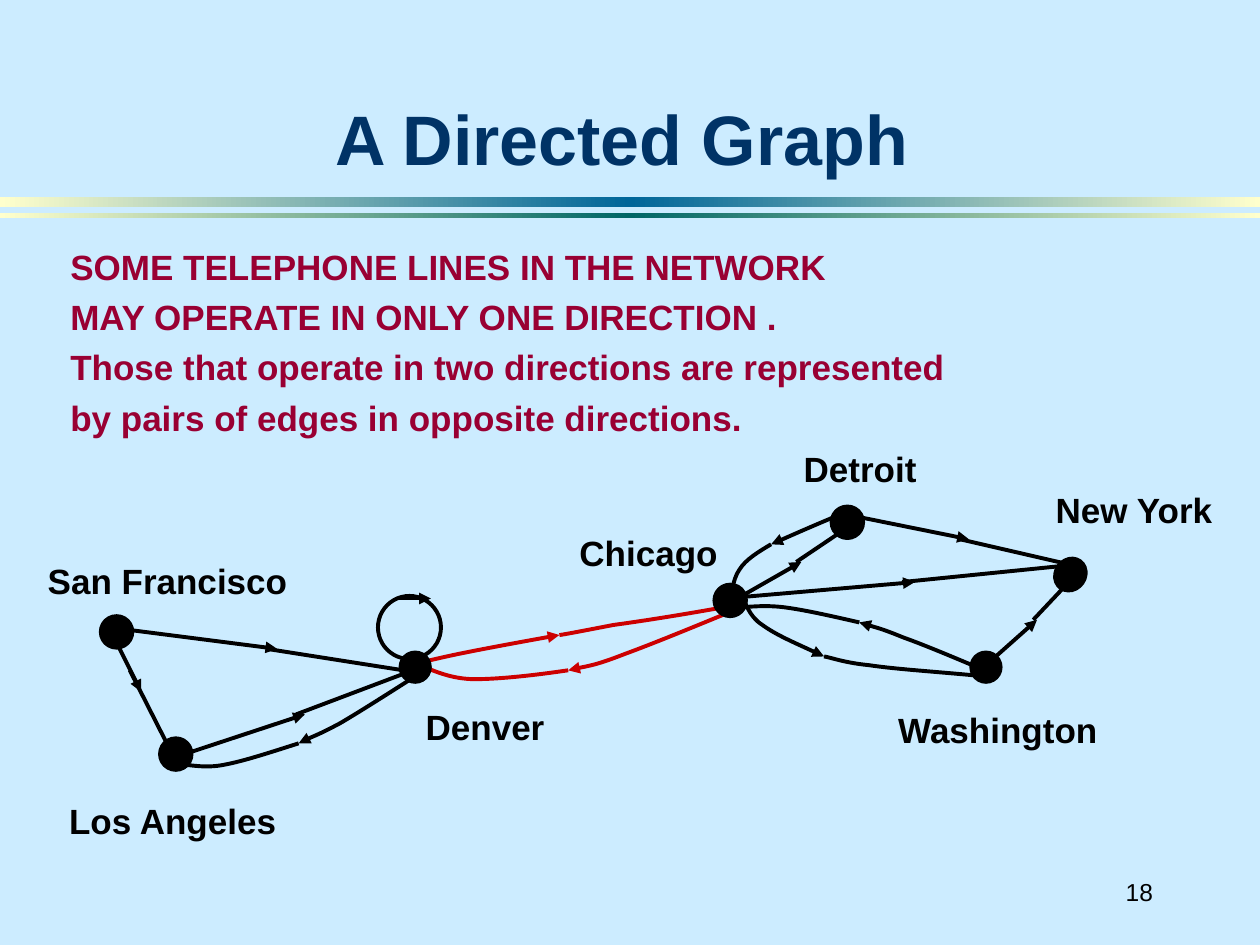
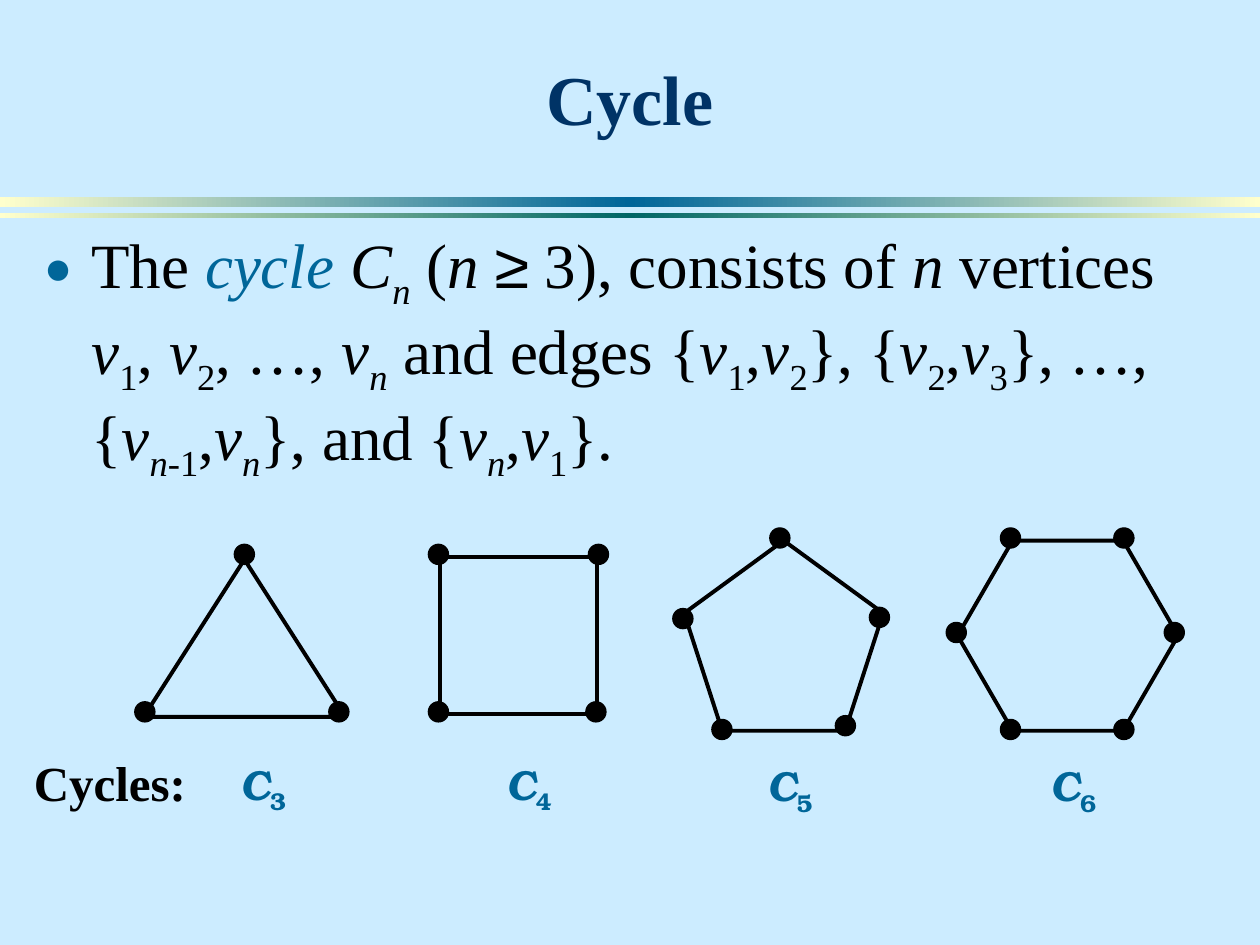
"""Builds two slides on graphs: a directed telephone network and the cycles C3 to C6."""
from copy import deepcopy

from pptx import Presentation, util as u
from pptx.dml.color import RGBColor
from pptx.enum import shapes as kinds, text as layout
from pptx.oxml import parse_xml
from pptx.oxml.ns import nsdecls, qn

SKY, NAVY, TEAL, CREAM = "CCECFF", "003366", "006699", "FFFFCC"
BLACK, RED, WINE = "000000", "CC0000", "990033"
SANS, SERIF, MATH = "Arial", "Times New Roman", "TeX Gyre Bonum"
GRID = 2.54
BANDS = [((0, 1.56, 10, 0.08), TEAL), ((0, 1.69, 10, 0.04), "006666")]

NETWORK_TITLE = "A Directed Graph"
NETWORK_NOTE = [
    "SOME TELEPHONE LINES IN THE NETWORK",
    "MAY OPERATE IN ONLY ONE DIRECTION .",
    "Those that operate in two directions are represented",
    "by pairs of edges in opposite directions.",
]
CITIES = [
    ("San Francisco", (0.28, 4.39, 2.12, 0.44), (0.8, 4.89, 0.25, 0.25), 2.25),
    ("Los Angeles", (0.45, 6.3, 1.87, 0.44), (1.27, 5.86, 0.25, 0.25), 2.25),
    ("Denver", (3.28, 5.55, 1.16, 0.44), (3.17, 5.17, 0.25, 0.25), 1),
    ("Chicago", (4.5, 4.17, 1.32, 0.44), (5.67, 4.64, 0.25, 0.25), 2.25),
    ("Detroit", (6.28, 3.5, 1.11, 0.44), (6.6, 4.02, 0.25, 0.25), 2.25),
    ("New York", (8.28, 3.83, 1.49, 0.44), (8.37, 4.42, 0.25, 0.28), 1),
    ("Washington", (7.03, 5.57, 1.81, 0.44), (7.7, 5.17, 0.25, 0.25), 1),
]
NEW_YORK_TILT = 35.2
DENVER_LOOP = (3, 4.73, 0.5, 0.5)
LOOP_ARROW = [(3.17, 4.75), (3.42, 4.75)]
STRAIGHT_EDGES = [
    ([(1.03, 5), (2.2, 5.15)], [(2.12, 5.15), (3.2, 5.32)]),
    ([(7.87, 5.24), (8.23, 4.92)], [(8.2, 4.92), (8.53, 4.57)]),
    ([(5.87, 4.74), (7.26, 4.62)], [(7.16, 4.62), (8.45, 4.49)]),
    ([(1.45, 5.99), (2.42, 5.67)], [(2.35, 5.67), (3.25, 5.33)]),
    ([(0.87, 4.99), (1.12, 5.49)], [(1.03, 5.32), (1.37, 5.99)]),
    ([(5.87, 4.74), (6.36, 4.46)], [(6.32, 4.46), (6.78, 4.15)]),
    ([(6.7, 4.08), (7.69, 4.28)], [(7.62, 4.28), (8.53, 4.49)]),
]
CURVED_EDGES = [
    (BLACK,
     [(3.37, 5.32), (3.12, 5.48), (2.87, 5.64), (2.7, 5.74), (2.53, 5.83), (2.42, 5.87), (2.37, 5.9)],
     [(2.37, 5.9), (2.15, 5.97), (1.94, 6.04), (1.78, 6.07), (1.63, 6.1), (1.51, 6.07), (1.45, 6.07)]),
    (RED,
     [(5.86, 4.83), (5.52, 4.97), (5.18, 5.11), (4.96, 5.19), (4.73, 5.28), (4.59, 5.3), (4.51, 5.32)],
     [(4.51, 5.32), (4.24, 5.36), (3.96, 5.39), (3.77, 5.39), (3.58, 5.39), (3.44, 5.32), (3.38, 5.3)]),
    (BLACK,
     [(7.86, 5.34), (7.6, 5.23), (7.34, 5.12), (7.17, 5.06), (7, 4.99), (6.88, 4.96), (6.82, 4.94)],
     [(6.82, 4.94), (6.6, 4.89), (6.38, 4.84), (6.22, 4.82), (6.06, 4.8), (5.93, 4.82), (5.87, 4.82)]),
    (BLACK,
     [(5.89, 4.74), (5.92, 4.78), (5.94, 4.89), (6.05, 4.96), (6.16, 5.04), (6.35, 5.12), (6.54, 5.21)],
     [(6.54, 5.21), (6.6, 5.22), (6.7, 5.26), (6.9, 5.28), (7.1, 5.31), (7.41, 5.33), (7.73, 5.36)]),
    (BLACK,
     [(6.7, 4.07), (6.46, 4.17), (6.21, 4.28), (6.12, 4.32)],
     [(6.12, 4.32), (6.02, 4.38), (5.92, 4.44), (5.87, 4.52), (5.81, 4.6), (5.8, 4.77), (5.78, 4.82)]),
    (RED,
     [(3.26, 5.28), (3.33, 5.26), (3.49, 5.22), (3.69, 5.18), (3.89, 5.14), (4.16, 5.09), (4.44, 5.04)],
     [(4.44, 5.04), (4.51, 5.03), (4.66, 5), (4.87, 4.96), (5.09, 4.93), (5.41, 4.88), (5.74, 4.82)]),
]

CYCLE_TITLE = "Cycle"
V1, V2, V3, VN = ([("v", "i"), (index, style)]
                  for index, style in [("1", "s"), ("2", "s"), ("3", "s"), ("n", "is")])
CYCLE_DEFINITION = [
    ("The ", ""), ("cycle ", "ic"), ("C", "i"), ("n", "is"), (" (", ""), ("n ", "i"), ("≥", "a"),
    (" 3), consists of ", ""), ("n", "i"), (" vertices ", ""),
    *V1, (", ", ""), *V2, (", …, ", ""), *VN, (" and edges {", ""),
    *V1, (",", ""), *V2, ("}, {", ""), *V2, (",", ""), *V3, ("}, …, {", ""),
    *VN, ("-1", "s"), (",", ""), *VN, ("}, and {", ""), *VN, (",", ""), *V1, ("}.", ""),
]
CYCLES_LABEL = "Cycles:"
DOT = 0.16
CYCLES = [
    ("3", (1.81, 5.97), "ISOSCELES_TRIANGLE", (1.14, 4.44, 1.6, 1.25),
     [(1.94, 4.4), (1.15, 5.65), (2.69, 5.65)]),
    ("4", (3.92, 5.97), "RECTANGLE", (3.49, 4.42, 1.25, 1.25),
     [(3.48, 4.4), (4.75, 4.4), (3.48, 5.65), (4.73, 5.65)]),
    ("5", (5.99, 5.98), "REGULAR_PENTAGON", (5.43, 4.29, 1.58, 1.51),
     [(6.19, 4.27), (6.98, 4.9), (6.71, 5.76), (5.73, 5.79), (5.42, 4.91)]),
    ("6", (8.24, 5.98), "HEXAGON", (7.6, 4.29, 1.75, 1.51),
     [(8.02, 4.27), (8.92, 4.27), (9.32, 5.02), (8.92, 5.79), (8.02, 5.79), (7.59, 5.02)]),
]


def place(*values):
    return [u.Cm(value * GRID) for value in values]


def rgb(value):
    return RGBColor.from_string(value)


def write(slide, box, paragraphs, size=20, font=SANS, color=BLACK, bold=False, align="LEFT",
          anchor="TOP", wrap=False, spacing=None, bullet=None):
    frame = slide.shapes.add_textbox(*place(*box)).text_frame
    frame.word_wrap = wrap
    frame.vertical_anchor = layout.MSO_ANCHOR[anchor]
    for number, content in enumerate(paragraphs):
        paragraph = frame.paragraphs[0] if number == 0 else frame.add_paragraph()
        paragraph.alignment = layout.PP_ALIGN[align]
        if spacing:
            paragraph.line_spacing = spacing
        if bullet:
            add_bullet(paragraph, bullet)
        for wording, style in [(content, "")] if isinstance(content, str) else content:
            run = paragraph.add_run()
            run.text = wording
            run.font.size = u.Pt(size)
            run.font.name = SANS if "a" in style else font
            run.font.bold = bold
            run.font.italic = "i" in style
            run.font.color.rgb = rgb(TEAL if "c" in style else color)
            if "s" in style:
                run.font._element.set("baseline", "-25000")


def add_bullet(paragraph, symbol):
    properties = paragraph._p.get_or_add_pPr()
    indent = u.Cm(0.96)
    properties.set("marL", str(indent))
    properties.set("indent", str(-indent))
    for tag in (f'<a:buClr {nsdecls("a")}><a:srgbClr val="{TEAL}"/></a:buClr>',
                f'<a:buSzPct {nsdecls("a")} val="75000"/>',
                f'<a:buFont {nsdecls("a")} typeface="{SANS}"/>',
                f'<a:buChar {nsdecls("a")} char="{symbol}"/>'):
        properties.append(parse_xml(tag))


def outline(shape, color=BLACK, width=2.25, arrow=False):
    shape.line.color.rgb = rgb(color)
    shape.line.width = u.Pt(width)
    if arrow:
        line = shape._element.spPr.find(qn("a:ln"))
        line.append(parse_xml(f'<a:tailEnd {nsdecls("a")} type="triangle"/>'))


def draw(slide, kind, box, fill=None, width=2.25):
    shape = slide.shapes.add_shape(kinds.MSO_SHAPE[kind], *place(*box))
    shape.shadow.inherit = False
    if fill:
        shape.fill.solid()
        shape.fill.fore_color.rgb = rgb(fill)
    else:
        shape.fill.background()
    outline(shape, width=width)
    return shape


def draw_line(slide, points, arrow):
    start, end = points
    line = slide.shapes.add_connector(kinds.MSO_CONNECTOR.STRAIGHT, *place(*start, *end))
    outline(line, arrow=arrow)
    line._element.spPr.append(parse_xml(f'<a:effectLst {nsdecls("a")}/>'))


def draw_curve(slide, points, color, arrow):
    start, *controls = [place(*point) for point in points]
    builder = slide.shapes.build_freeform(*start)
    builder.add_line_segments(controls, close=False)
    curve = builder.convert_to_shape()
    bend(curve)
    curve.shadow.inherit = False
    curve.fill.background()
    outline(curve, color, arrow=arrow)


def bend(curve):
    steps = list(curve._element.spPr.iter(qn("a:lnTo")))
    for first in range(0, len(steps), 3):
        cubic = parse_xml(f'<a:cubicBezTo {nsdecls("a")}/>')
        steps[first].addprevious(cubic)
        for step in steps[first:first + 3]:
            cubic.append(step[0])
            step.getparent().remove(step)


def new_slide(deck, title, box, font):
    slide = deck.slides.add_slide(deck.slide_layouts[6])
    slide.background.fill.solid()
    slide.background.fill.fore_color.rgb = rgb(SKY)
    for band_box, middle in BANDS:
        band = draw(slide, "RECTANGLE", band_box)
        band.line.fill.background()
        band.fill.gradient()
        band.fill.gradient_angle = 0
        stops = band._element.spPr.find(".//" + qn("a:gsLst"))
        stops.insert(1, deepcopy(stops[0]))
        for stop, position, color in zip(band.fill.gradient_stops, (0, 0.5, 1), (CREAM, middle, CREAM)):
            stop.position = position
            stop.color.rgb = rgb(color)
    write(slide, box, [title], size=40, font=font, color=NAVY, bold=True,
          align="CENTER", anchor="BOTTOM", wrap=True)
    return slide


def build_network(deck):
    slide = new_slide(deck, NETWORK_TITLE, (0.65, 0.22, 8.57, 1.25), SANS)
    write(slide, (8.58, 6.83, 0.67, 0.5), ["18"], size=14, align="RIGHT", anchor="MIDDLE")
    write(slide, (0.46, 1.83, 7.24, 1.7), NETWORK_NOTE, color=WINE, bold=True, wrap=True, spacing=1.2)
    for to_arrow, onward in STRAIGHT_EDGES:
        draw_line(slide, to_arrow, True)
        draw_line(slide, onward, False)
    for color, to_arrow, onward in CURVED_EDGES:
        draw_curve(slide, to_arrow, color, True)
        draw_curve(slide, onward, color, False)
    draw(slide, "OVAL", DENVER_LOOP)
    draw_line(slide, LOOP_ARROW, True)
    for city, label_box, node_box, width in CITIES:
        node = draw(slide, "OVAL", node_box, BLACK, width)
        if city == "New York":
            node.rotation = NEW_YORK_TILT
        write(slide, label_box, [city], bold=True)


def build_cycles(deck):
    slide = new_slide(deck, CYCLE_TITLE, (0.5, 0.16, 9, 1), SERIF)
    write(slide, (0.25, 1.74, 9.5, 2.25), [CYCLE_DEFINITION], size=36, font=SERIF,
          wrap=True, bullet="●")
    for order, label_corner, kind, box, vertices in CYCLES:
        polygon = draw(slide, kind, box)
        if kind == "HEXAGON":
            polygon.adjustments[0] = 0.289
        for x, y in vertices:
            draw(slide, "OVAL", (x - DOT / 2, y - DOT / 2, DOT, DOT), BLACK, 0.75)
        write(slide, (*label_corner, 0.56, 0.56), [[("C", "i"), (order, "s")]],
              size=24, font=MATH, color=TEAL, bold=True)
    write(slide, (0.17, 5.92, 1.58, 0.57), [CYCLES_LABEL], size=28, font=SERIF, bold=True, wrap=True)


def main():
    deck = Presentation()
    deck.slide_width, deck.slide_height = place(10, 7.5)
    build_network(deck)
    build_cycles(deck)
    deck.save("out.pptx")


if __name__ == "__main__":
    main()
